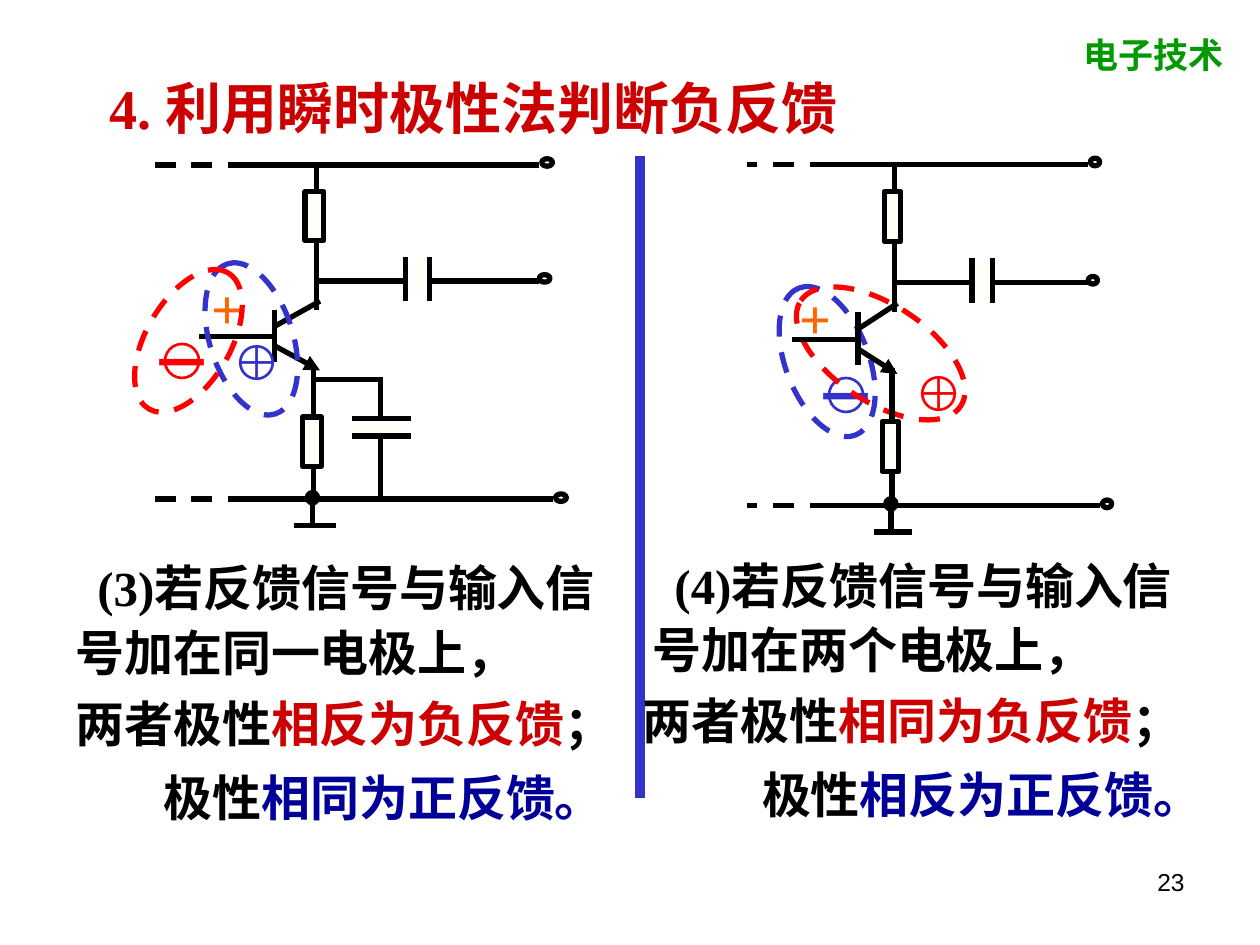
import lxml.etree
import pptx
import pptx.dml.color
import pptx.enum.dml
import pptx.enum.shapes
import pptx.enum.text
import pptx.oxml.ns
import pptx.util

COLORS = {
    "black": "000000", "white": "FFFFFF", "cream": "FFFFF7",
    "green": "009900", "crimson": "CC0000", "navy": "000099",
    "red": "FF0000", "blue": "3333CC", "orange": "FF6600",
}
SERIF, SANS, CJK = "Times New Roman", "Arial", "Noto Sans CJK SC"
COLS, ROWS = 100, 75
PAGE = (0, 0, 1, 1)
ALIGN = pptx.enum.text.PP_ALIGN


def rgb(name):
    return pptx.dml.color.RGBColor.from_string(COLORS[name])


class Board:
    """Draws on one slide in grid columns and rows, placed through a frame."""

    def __init__(self):
        self.prs = pptx.Presentation()
        self.prs.slide_width = pptx.util.Inches(10)
        self.prs.slide_height = pptx.util.Inches(7.5)
        self.s = self.prs.slides.add_slide(self.prs.slide_layouts[5])
        self.frame = PAGE

    def size(self, w, h):
        return (round(w * self.frame[2] * self.prs.slide_width / COLS),
                round(h * self.frame[3] * self.prs.slide_height / ROWS))

    def point(self, x, y):
        dx, dy = self.size(x, y)
        return (dx + round(self.frame[0] * self.prs.slide_width / COLS),
                dy + round(self.frame[1] * self.prs.slide_height / ROWS))

    def stroke(self, sp, color, width, dash):
        sp.line.color.rgb = rgb(color)
        sp.line.width = pptx.util.Pt(width)
        if dash:
            sp.line.dash_style = pptx.enum.dml.MSO_LINE.DASH

    def line(self, x1, y1, x2, y2, color="black", width=3, dash=False, **ends):
        """Straight line; ends maps headEnd or tailEnd to an arrowhead type."""
        sp = self.s.shapes.add_connector(
            pptx.enum.shapes.MSO_CONNECTOR.STRAIGHT,
            *self.point(x1, y1), *self.point(x2, y2))
        self.stroke(sp, color, width, dash)
        qn, pr = pptx.oxml.ns.qn, sp._element.spPr
        for tag, kind in ends.items():
            lxml.etree.SubElement(pr.find(qn("a:ln")), qn("a:" + tag), type=kind)
        lxml.etree.SubElement(pr, qn("a:effectLst"))

    def shape(self, kind, x, y, w, h, color="black", fill=None, width=3,
              dash=False, rotation=0):
        sp = self.s.shapes.add_shape(kind, *self.point(x, y), *self.size(w, h))
        sp.shadow.inherit = False
        sp.rotation = rotation
        self.stroke(sp, color, width, dash)
        if fill:
            sp.fill.solid()
            sp.fill.fore_color.rgb = rgb(fill)
        else:
            sp.fill.background()
        return sp

    def rect(self, *box, **look):
        return self.shape(pptx.enum.shapes.MSO_SHAPE.RECTANGLE, *box,
                          fill="cream", **look)

    def ellipse(self, *box, **look):
        return self.shape(pptx.enum.shapes.MSO_SHAPE.OVAL, *box, **look)

    def put_runs(self, sp, runs, size, bold=True, align=ALIGN.LEFT, indent=0,
                 spacing=1.0):
        """Fill one paragraph with runs given as (text, font, color)."""
        p = sp.text_frame.paragraphs[0]
        p.alignment, p.line_spacing = align, spacing
        if indent:
            p._p.get_or_add_pPr().set("indent", str(self.size(indent, 0)[0]))
        for text, font, color in runs:
            r = p.add_run()
            r.text = text
            r.font.name, r.font.bold = font, bold
            r.font.size = pptx.util.Pt(size)
            r.font.color.rgb = rgb(color)

    def text(self, x, y, w, h, runs, size, wrap=True, **style):
        sp = self.s.shapes.add_textbox(*self.point(x, y), *self.size(w, h))
        sp.text_frame.word_wrap = wrap
        sp.text_frame.auto_size = pptx.enum.text.MSO_AUTO_SIZE.SHAPE_TO_FIT_TEXT
        self.put_runs(sp, runs, size, **style)

    def title(self, x, y, w, h, runs, size, **style):
        sp = self.s.shapes.title
        sp.left, sp.top = self.point(x, y)
        sp.width, sp.height = self.size(w, h)
        sp.text_frame.vertical_anchor = pptx.enum.text.MSO_ANCHOR.TOP
        sp.text_frame.auto_size = pptx.enum.text.MSO_AUTO_SIZE.SHAPE_TO_FIT_TEXT
        self.put_runs(sp, runs, size, **style)

    def minus(self, x, y, color):
        sp = self.ellipse(x, y, 2.7, 2.7, color=color, width=1.5)
        sp.text_frame.word_wrap = False
        sp.text_frame.vertical_anchor = pptx.enum.text.MSO_ANCHOR.MIDDLE
        self.put_runs(sp, [("－", SERIF, color)], 36, align=ALIGN.CENTER)

    def circled_plus(self, x, y, color):
        self.text(x, y, 5.1, 5.7, [("⊕", SANS, color)], 28, wrap=False)

    def input_plus(self, x, y):
        self.text(x, y, 5.8, 6.4, [("+", SERIF, "orange")], 32)

    def loop(self, x, y, w, h, rotation, color):
        self.ellipse(x, y, w, h, color=color, dash=True, rotation=rotation)

    def circuit(self, frame, bypass):
        """Transistor stage; bypass adds a capacitor beside the emitter resistor."""
        self.frame = frame
        self.line(21.8, 24.6, 21.8, 28.7)
        self.line(21.8, 25.9, 25.4, 23.9)
        self.line(21.9, 27.5, 25.4, 29.4, tailEnd="triangle")
        self.line(24.9, 28.9, 24.9, 40)
        self.line(25.1, 24.6, 25.1, 13.1)
        self.line(24.9, 22.3, 42.8, 22.3)
        for x, y in ((43, 12.6), (42.8, 21.8), (44.1, 39.2)):
            self.ellipse(x, y, 0.85, 0.6)
        for x, y in ((24.2, 15.2), (24, 33.1)):
            self.rect(x, y, 1.5, 3.9)
        if bypass:
            self.rect(28.1, 33.4, 4.3, 1.1, color="white")
            for y in (33.2, 34.6):
                self.line(27.9, y, 32.6, y)
            self.line(24.9, 30.1, 30.4, 30.1)
            self.line(30.2, 30.1, 30.2, 33.3)
            self.line(30.2, 34.6, 30.2, 39.6)
        self.rect(32.4, 20.6, 1.5, 3.2, color="white")
        for x in (32.2, 34.1):
            self.line(x, 20.4, x, 23.9)
        for right, y in ((43.9, 39.6), (42.8, 13.1)):
            self.line(right, y, 18.1, y)
            self.line(22.7, y, 11.7, y, dash=True)
        self.line(15.8, 26.7, 22, 26.7)
        self.line(24.8, 39.5, 24.8, 41.9, headEnd="oval")
        self.line(23.3, 41.7, 26.7, 41.7)
        self.frame = PAGE

    def rule(self, x, y, number, electrode, negative, positive, shift, tail_x):
        """Three-part statement; shift moves the second part left of the first."""
        def say(left, top, width, height, runs, indent):
            self.text(left, top, width, height, runs, 28, indent=indent, spacing=1.1)

        say(x, y, 46, 11.3,
            [(number, SERIF, "black"),
             (f"若反馈信号与输入信号加在{electrode}电极上，", CJK, "black")], 1.75)
        say(x - shift, y + 10.75, 50, 6.2,
            [("两者极性", CJK, "black"), (negative, SERIF, "crimson"),
             ("；", SERIF, "black")], 0)
        say(tail_x, y + 16.65, 46, 6.2,
            [("极性", SERIF, "black"), (positive, SERIF, "navy")], 7)


def main():
    b = Board()
    b.title(3.3, 5.3, 79.4, 6.4,
            [("4. ", SERIF, "crimson"), ("利用瞬时极性法判断负反馈", CJK, "crimson")],
            32, indent=4.4)
    b.text(85, 2.2, 14.5, 4.4, [("电子技术", SERIF, "green")], 20)
    b.line(50.8, 12.4, 50.8, 63.3, color="blue", width=6)

    b.circuit(PAGE, bypass=True)
    b.input_plus(15.8, 21.2)
    b.minus(13.1, 27.3, "red")
    b.circled_plus(17.5, 25.8, "blue")
    b.loop(13.7, 23.6, 12.5, 6.6, 72.3, "blue")
    b.loop(8.7, 23.7, 12.5, 6.7, 120.1, "red")
    b.rule(5, 43.3, "(3)", "同一", "相反为负反馈", "相同为正反馈。", 0, 5)

    b.input_plus(62.5, 22)
    b.minus(65.8, 30, "blue")
    b.circled_plus(71.6, 28.3, "red")
    b.loop(59.4, 25.4, 12.5, 6.6, 69, "blue")
    b.loop(62.3, 24.2, 15.2, 7.7, 33.4, "red")
    b.rule(50.8, 43.1, "(4)", "两个", "相同为负反馈", "相反为正反馈。", 0.75, 52.5)
    b.circuit((49.13, -0.3, 0.87, 1.02), bypass=False)

    b.text(71.7, 68.3, 23.3, 5.2, [("23", SANS, "black")], 14,
           bold=False, align=ALIGN.RIGHT)
    b.prs.save("out.pptx")


if __name__ == "__main__":
    main()
